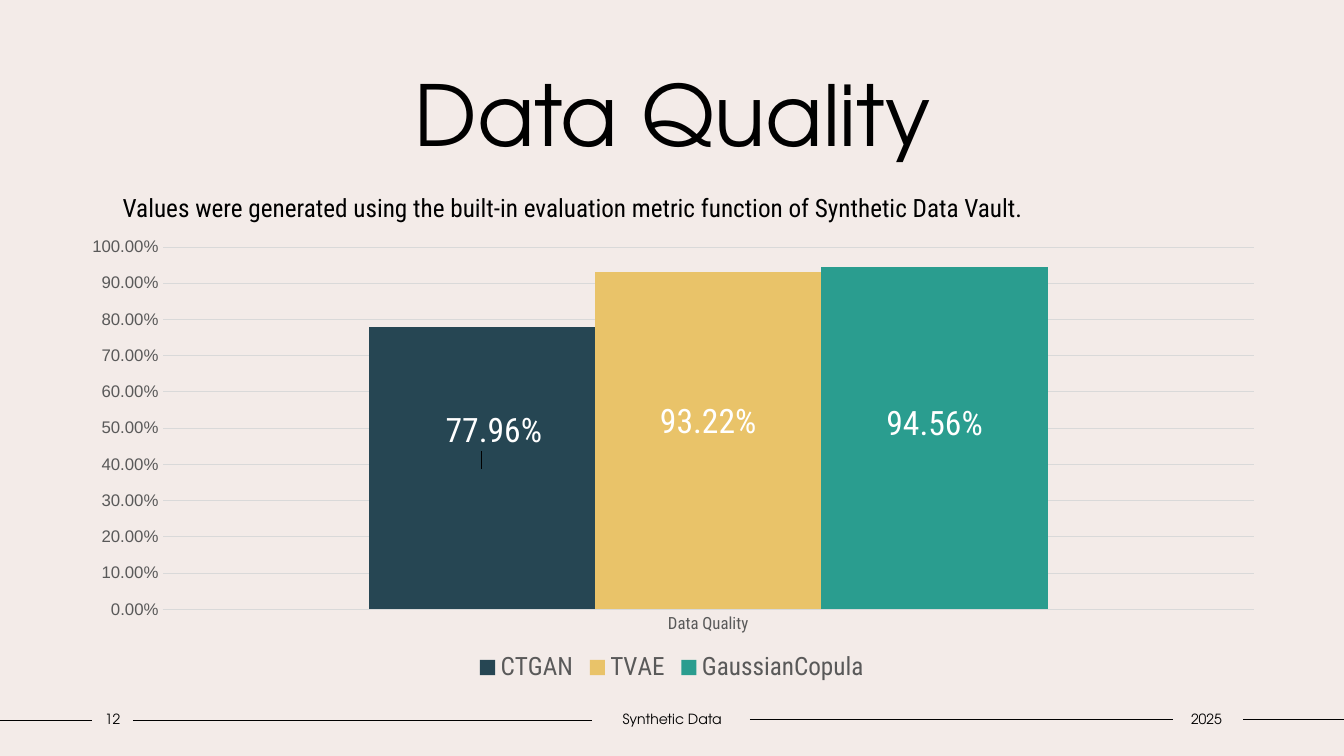
from lxml.etree import SubElement
from pptx import Presentation
from pptx.chart.data import CategoryChartData
from pptx.dml.color import RGBColor
from pptx.enum.chart import XL_CHART_TYPE as ChartType
from pptx.enum.chart import XL_LABEL_POSITION as LabelPosition
from pptx.enum.chart import XL_LEGEND_POSITION as LegendPosition
from pptx.enum.chart import XL_TICK_MARK as TickMark
from pptx.enum.shapes import MSO_CONNECTOR as Connector
from pptx.enum.text import MSO_ANCHOR as Anchor
from pptx.enum.text import PP_ALIGN as Align
from pptx.oxml import parse_xml
from pptx.oxml.ns import nsdecls, qn
from pptx.util import Pt

CREAM = RGBColor(0xF3, 0xEB, 0xE8)
BLACK = RGBColor(0, 0, 0)
WHITE = RGBColor(0xFF, 0xFF, 0xFF)
GREY = RGBColor(0x59, 0x59, 0x59)
GRID = RGBColor(0xD9, 0xD9, 0xD9)
NAVY = RGBColor(0x26, 0x46, 0x53)
GOLD = RGBColor(0xE9, 0xC3, 0x69)
TEAL = RGBColor(0x2A, 0x9D, 0x8F)
HEADING = "TeX Gyre Adventor"
BODY = "Roboto Condensed"
PERCENT = "0.00%"


def add_text(box, text, font_name, size, align, inset=7.2):
    area = slide.shapes.add_textbox(*[Pt(v) for v in box])
    frame = area.text_frame
    frame.word_wrap = True
    frame.vertical_anchor = Anchor.MIDDLE
    frame.margin_left = frame.margin_right = Pt(inset)
    paragraph = frame.paragraphs[0]
    paragraph.alignment = align
    run = paragraph.add_run()
    run.text = text
    style_font(run.font, font_name, size, BLACK)


def style_font(font, name, size, color):
    font.name = name
    font.size = Pt(size)
    font.bold = False
    font.color.rgb = color


deck = Presentation()
deck.slide_width, deck.slide_height = Pt(960), Pt(540)
slide = deck.slides.add_slide(deck.slide_layouts[6])
slide.background.fill.solid()
slide.background.fill.fore_color.rgb = CREAM

# Footer rules
for start, end, y in [(0, 66, 514.6), (95, 422.6, 514.6),
                      (535.7, 838, 514), (888, 960, 514)]:
    rule = slide.shapes.add_connector(Connector.STRAIGHT, Pt(start), Pt(y), Pt(end), Pt(y))
    rule.line.color.rgb = BLACK
    rule.line.width = Pt(1)
    SubElement(rule._element.spPr, qn("a:effectLst"))

# Title
add_text((90, 40.3, 780.5, 80), "Data Quality", HEADING, 60, Align.CENTER)

# Quality scores: value, colour, and label shift as a share of the chart size
scores = {
    "CTGAN": (0.7796, NAVY, 0.01, -0.08),
    "TVAE": (0.9322, GOLD, 0, -0.04),
    "GaussianCopula": (0.9456, TEAL, 0, -0.03),
}
data = CategoryChartData(number_format=PERCENT)
data.categories = ["Data Quality"]
for model, (score, *_) in scores.items():
    data.add_series(model, [score])
chart = slide.shapes.add_chart(ChartType.COLUMN_CLUSTERED, Pt(46.8), Pt(163.4),
                               Pt(866.2), Pt(327.6), data).chart
chart.has_title = False
style_font(chart.font, BODY, 10, BLACK)

# Columns and their labels
plot = chart.plots[0]
plot.gap_width = 182
plot.overlap = 0
plot.vary_by_categories = False
for series, (_, color, shift_x, shift_y) in zip(plot.series, scores.values()):
    series.format.fill.solid()
    series.format.fill.fore_color.rgb = color
    labels = series.data_labels
    labels.show_value = True
    labels.number_format = PERCENT
    labels.number_format_is_linked = False
    labels.position = LabelPosition.CENTER
    style_font(labels.font, BODY, 24, WHITE)
    point_label = series.points[0].data_label
    style_font(point_label.font, BODY, 24, WHITE)
    point_label.position = LabelPosition.CENTER
    label_xml = labels._element.find(qn("c:dLbl"))
    label_xml.find(qn("c:idx")).addnext(parse_xml(
        f'<c:layout {nsdecls("c")}><c:manualLayout><c:x val="{shift_x}"/>'
        f'<c:y val="{shift_y}"/></c:manualLayout></c:layout>'))

# Axes
models_axis, score_axis = chart.category_axis, chart.value_axis
for axis, font_name in [(models_axis, BODY), (score_axis, "Arial")]:
    axis.major_tick_mark = axis.minor_tick_mark = TickMark.NONE
    style_font(axis.tick_labels.font, font_name, 12, GREY)
score_axis.minimum_scale, score_axis.maximum_scale = 0, 1
score_axis.major_unit = 0.1
score_axis.tick_labels.number_format = PERCENT
score_axis.tick_labels.number_format_is_linked = False
score_axis.format.line.fill.background()
for line in (models_axis.format.line, score_axis.major_gridlines.format.line):
    line.color.rgb = GRID
    line.width = Pt(0.75)

# Legend
chart.has_legend = True
chart.legend.position = LegendPosition.BOTTOM
chart.legend.include_in_layout = False
style_font(chart.legend.font, BODY, 18, GREY)

# Plot area within the chart
plot_area = chart._chartSpace.find(".//" + qn("c:plotArea"))
for default_layout in plot_area.findall(qn("c:layout")):
    plot_area.remove(default_layout)
plot_area.insert(0, parse_xml(
    f'<c:layout {nsdecls("c")}><c:manualLayout><c:layoutTarget val="inner"/>'
    '<c:xMode val="edge"/><c:yMode val="edge"/><c:x val="0.08"/><c:y val="0.04"/>'
    '<c:w val="0.9"/><c:h val="0.79"/></c:manualLayout></c:layout>'))

# Footer texts
for left, width, text in [(66, 29, "12"), (422.6, 115, "Synthetic Data"), (836.6, 50.4, "2025")]:
    add_text((left, 504, width, 19.4), text, HEADING, 10, Align.CENTER, inset=0)

# Note on the values
add_text((80.6, 134, 679, 29),
         "Values were generated using the built-in evaluation metric function of Synthetic Data Vault.",
         BODY, 18, Align.LEFT)

deck.save("out.pptx")
